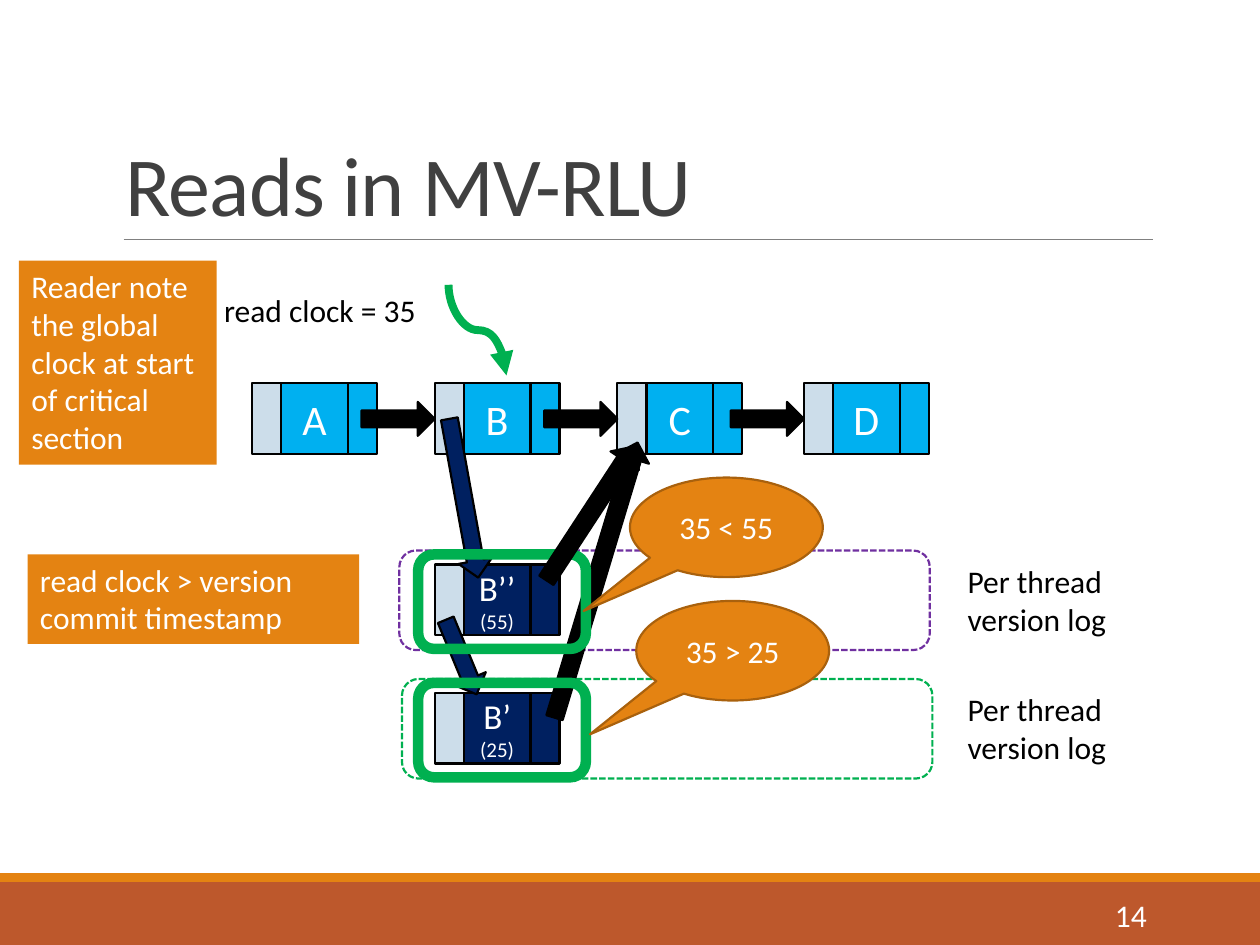
from lxml import etree
from pptx import Presentation
from pptx.dml.color import RGBColor
from pptx.enum.dml import MSO_LINE
from pptx.enum.shapes import MSO_CONNECTOR, MSO_SHAPE
from pptx.enum.text import MSO_ANCHOR, PP_ALIGN
from pptx.oxml.ns import qn
from pptx.util import Pt

RECT = MSO_SHAPE.RECTANGLE
ROUNDED = MSO_SHAPE.FLOWCHART_ALTERNATE_PROCESS
ARROW = MSO_SHAPE.RIGHT_ARROW
CALLOUT = MSO_SHAPE.OVAL_CALLOUT
STRAIGHT, CURVE = MSO_CONNECTOR.STRAIGHT, MSO_CONNECTOR.CURVE
DASH = MSO_LINE.SQUARE_DOT
LEFT, CENTER, RIGHT = PP_ALIGN.LEFT, PP_ALIGN.CENTER, PP_ALIGN.RIGHT
TOP, MIDDLE, BOTTOM = MSO_ANCHOR.TOP, MSO_ANCHOR.MIDDLE, MSO_ANCHOR.BOTTOM

BLACK, WHITE, GREY = "000000", "FFFFFF", "404040"
BLUE, NAVY, PALE = "00B0F0", "002060", "CCDDEA"
ORANGE, RUST, BROWN = "E48312", "BD582C", "A9610D"
GREEN, PURPLE = "00B050", "7030A0"


def colour(code):
    return RGBColor.from_string(code)


class Painter:
    font = "Calibri"
    outline = 1.25
    tag_width, data_width, next_width, cell_height = 16.6, 38.2, 16.6, 40.3
    arrow_height = 19.4

    def __init__(self, page):
        self.page = page

    def fill_text(self, shape, lines, ink, align=LEFT, anchor=TOP, margin=7.2):
        """Set lines given as (text, size) pairs; return the paragraphs."""
        frame = shape.text_frame
        frame.word_wrap = True
        frame.vertical_anchor = anchor
        frame.margin_left = frame.margin_right = Pt(margin)
        for index, (text, size) in enumerate(lines):
            para = frame.add_paragraph() if index else frame.paragraphs[0]
            para.alignment = align
            span = para.add_run()
            span.text = text
            span.font.name = self.font
            span.font.size = Pt(size)
            span.font.color.rgb = colour(ink)
        return frame.paragraphs

    def text(self, place, text, size=18, ink=BLACK, align=LEFT, anchor=TOP):
        box = self.page.shapes.add_textbox(*map(Pt, place))
        return self.fill_text(box, [(text, size)], ink, align, anchor)

    def shape(self, kind, place, fill=None, line=None, width=outline, dash=None):
        shape = self.page.shapes.add_shape(kind, *map(Pt, place))
        shape.shadow.inherit = False
        if fill:
            shape.fill.solid()
            shape.fill.fore_color.rgb = colour(fill)
        else:
            shape.fill.background()
        if line:
            shape.line.color.rgb = colour(line)
            shape.line.width = Pt(width)
            shape.line.dash_style = dash
        else:
            shape.line.fill.background()
        return shape

    def note(self, place, text):
        self.fill_text(self.shape(RECT, place, ORANGE), [(text, 18)], WHITE)

    def node(self, left, top, fill, lines):
        """A list node: data cell, next-pointer cell and header cell."""
        data = left + self.tag_width
        after = data + self.data_width
        height = self.cell_height
        cell = self.shape(RECT, (data, top, self.data_width, height), fill, BLACK)
        self.fill_text(cell, lines, WHITE, CENTER, MIDDLE, 0)
        self.shape(RECT, (after, top, self.next_width, height), fill, BLACK)
        self.shape(RECT, (left, top, self.tag_width, height), PALE, BLACK)

    def arrow(self, left, top, length, fill=BLACK, turn=0):
        place = (left, top, length, self.arrow_height)
        self.shape(ARROW, place, fill, BLACK).rotation = turn

    def callout(self, left, top, text):
        bubble = self.shape(CALLOUT, (left, top, 110.2, 56.9), ORANGE, BROWN)
        bubble.adjustments[0], bubble.adjustments[1] = -0.74, 0.84
        self.fill_text(bubble, [(text, 18)], WHITE, CENTER, MIDDLE)

    def line(self, kind, ends, ink, width):
        line = self.page.shapes.add_connector(kind, *map(Pt, ends))
        line.line.color.rgb = colour(ink)
        line.line.width = Pt(width)
        properties = line._element.spPr
        etree.SubElement(properties, qn("a:effectLst"))
        return properties

    def curved_arrow(self, ends, ink, width):
        """A curve turned by 270 degrees, with a head at its end."""
        properties = self.line(CURVE, ends, ink, width)
        properties.find(qn("a:xfrm")).set("rot", str(270 * 60000))
        stroke = properties.find(qn("a:ln"))
        etree.SubElement(stroke, qn("a:tailEnd"), type="triangle")


def main():
    deck = Presentation()
    deck.slide_width, deck.slide_height = Pt(720), Pt(540)
    paint = Painter(deck.slides.add_slide(deck.slide_layouts[6]))

    # Footer bands, title and rule
    paint.shape(RECT, (0, 504, 720, 36), RUST)
    paint.shape(RECT, (0, 499, 720, 5), ORANGE)
    paint.line(STRAIGHT, (70.6, 136.8, 658.8, 136.8), "808080", 0.5)
    title = paint.text((64.8, 22.3, 594, 114.5), "Reads in MV-RLU", 48, GREY,
                       anchor=BOTTOM)[0]
    title.line_spacing = 0.85
    title.runs[0].font._element.set("spc", "-50")
    paint.text((584.6, 508.3, 77.8, 28.8), "14", 18, WHITE, RIGHT, MIDDLE)

    # Linked list
    lefts = (144, 248.4, 352.8, 459.4)
    for name, left in zip("ABCD", lefts):
        paint.node(left, 219, BLUE, [(name, 24)])

    # Version logs, one per thread
    logs = (("B’’", "(55)", 322.6, 228.2, PURPLE),
            ("B’", "(25)", 396, 229.7, GREEN))
    for name, stamp, top, left, ink in logs:
        paint.shape(ROUNDED, (left, top - 8, 303.1, 56.9), line=ink, dash=DASH)
    for name, stamp, top, left, ink in logs:
        paint.node(lefts[1], top, NAVY, [(name, 20), (stamp, 12)])
        paint.text((545.8, top - 5, 104.4, 51.1), "Per thread version log")

    # Pointers to older versions and to the next node
    paint.arrow(240.5, 365.8, 46.1, NAVY, 67.5)
    paint.arrow(218.9, 275, 92.2, NAVY, 79.7)
    for target in lefts[1:]:
        paint.arrow(target - 41.8, 229.7, 41.8)
    paint.arrow(258.5, 321.8, 164.2, turn=286.8)

    # Version check
    paint.note((15.8, 316.8, 189.4, 51.1), "read clock > version commit timestamp")
    for name, stamp, top, left, ink in logs:
        paint.shape(ROUNDED, (239, top - 5.8, 95.8, 54), line=GREEN, width=6)
    paint.callout(360, 272.9, "35 < 55")
    paint.callout(363.6, 343.4, "35 > 25")

    # Reader
    paint.curved_arrow((298.8, 172.1, 247, 205.2), GREEN, 4.5)
    paint.text((121, 162.7, 126.7, 28.8), "read clock = 35")
    paint.arrow(291.6, 283.7, 91.4, turn=303.2)
    paint.note((10.8, 149, 113, 116.6),
               "Reader note the global clock at start of critical section")

    deck.save("out.pptx")


if __name__ == "__main__":
    main()
